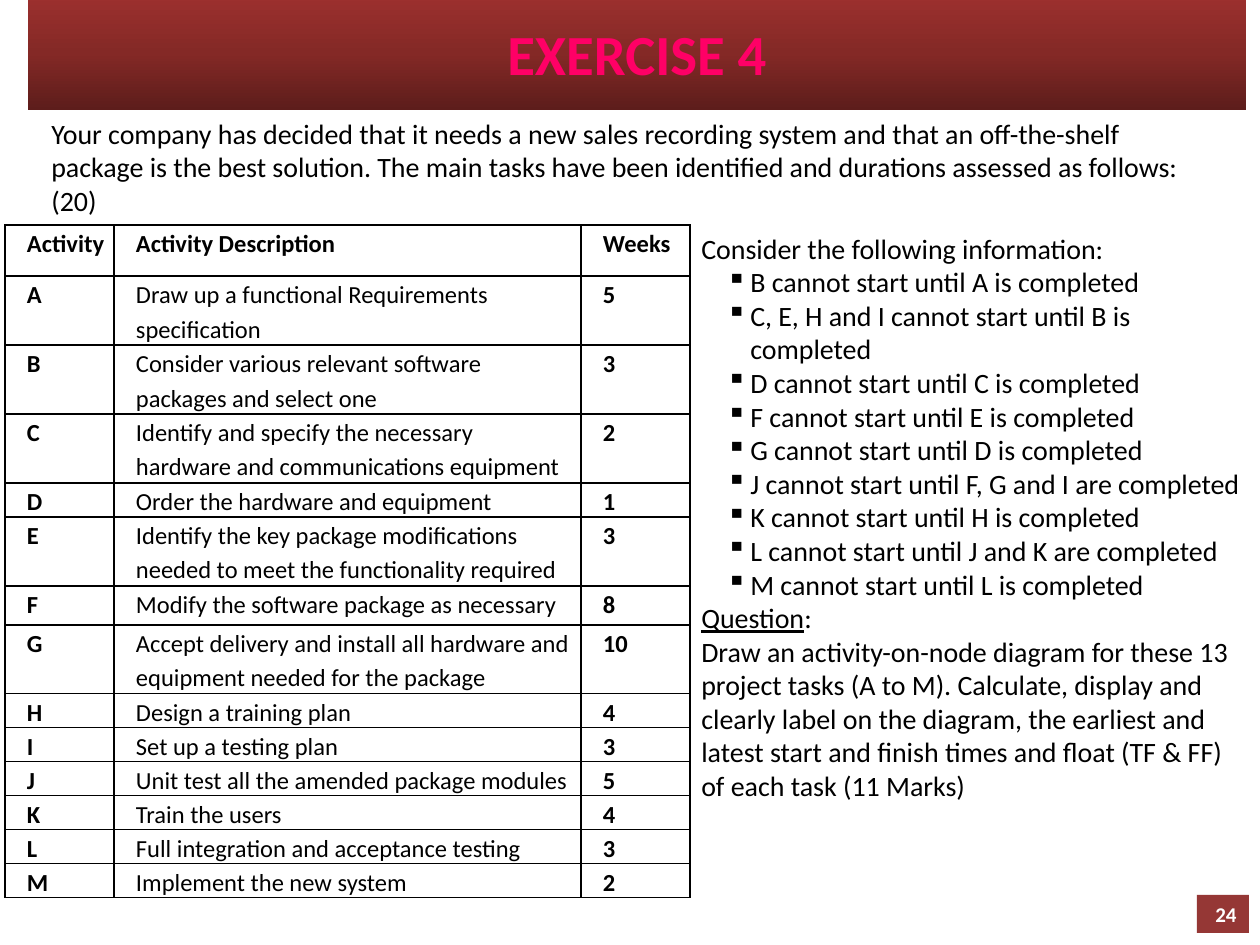
"""Build the Exercise 4 slide: task table, precedence rules and question."""
from copy import deepcopy
from typing import NamedTuple

from lxml import etree
from pptx import Presentation
from pptx.dml.color import RGBColor
from pptx.enum.shapes import MSO_SHAPE
from pptx.enum.text import MSO_ANCHOR, MSO_AUTO_SIZE, PP_ALIGN
from pptx.oxml.ns import qn
from pptx.util import Emu, Pt

RECTANGLE = MSO_SHAPE.RECTANGLE
MIDDLE = MSO_ANCHOR.MIDDLE
FIT_SHAPE = MSO_AUTO_SIZE.SHAPE_TO_FIT_TEXT
LEFT, CENTER, RIGHT, JUSTIFY = PP_ALIGN.LEFT, PP_ALIGN.CENTER, PP_ALIGN.RIGHT, PP_ALIGN.JUSTIFY
FONT = "Calibri"
BLACK = "000000"
WHITE = "FFFFFF"
PINK = "FF0066"
RED = "953735"
BANNER_STOPS = ((0, "5D1D1B"), (0.5, "842926"), (1, "9C302E"))
COLUMN_WIDTHS = (109, 467, 109)
BORDER_SIDES = ("a:lnL", "a:lnR", "a:lnT", "a:lnB")


class Area(NamedTuple):
    left: int
    top: int
    width: int
    height: int


class Task(NamedTuple):
    code: str
    description: str
    weeks: str
    height: int = 34


class Line(NamedTuple):
    text: str
    bullet: bool = False


HEADER = Task("Activity", "Activity Description ", "Weeks", 51)
TASKS = (
    Task("A", "Draw up a functional Requirements specification", "5", 69),
    Task("B", "Consider various relevant software packages and select one", "3", 69),
    Task("C", "Identify and specify the necessary hardware and communications equipment", "2", 69),
    Task("D", "Order the hardware and equipment", "1"),
    Task("E", "Identify the key package modifications needed to meet the functionality required", "3", 69),
    Task("F", "Modify the software package as necessary", "8", 39),
    Task("G", "Accept delivery and install all hardware and equipment needed for the package", "10", 69),
    Task("H", "Design a training plan", "4"),
    Task("I", "Set up a testing plan", "3"),
    Task("J", "Unit test all the amended package modules", "5"),
    Task("K", "Train the users", "4"),
    Task("L", "Full integration and acceptance testing", "3"),
    Task("M", "Implement the new system", "2"),
)
INTRO = (
    Line(
        "Your company has decided that it needs a new sales recording system and that an "
        "off-the-shelf package is the best solution. The main tasks have been identified "
        "and durations assessed as follows: (20)"
    ),
)
RULES = (
    "B cannot start until A is completed",
    "C, E, H and I cannot start until B is completed",
    "D cannot start until C is completed",
    "F cannot start until E is completed",
    "G cannot start until D is completed",
    "J cannot start until F, G and I are completed",
    "K cannot start until H is completed",
    "L cannot start until J and K are completed",
    "M cannot start until L is completed",
)
QUESTION = "Question"
DETAILS = (
    Line("Consider the following information:"),
    *(Line(rule, True) for rule in RULES),
    Line(QUESTION),
    Line(
        "Draw an activity-on-node diagram for these 13 project tasks (A to M). Calculate, "
        "display and clearly label on the diagram, the earliest and latest start and finish "
        "times and float (TF & FF) of each task (11 Marks)"
    ),
)


def px(length: int) -> Emu:
    return Emu(round(length * 914400 / 126))


def color(value: str) -> RGBColor:
    return RGBColor.from_string(value)


def place(area: Area) -> tuple:
    return tuple(px(length) for length in area)


def style(para, size: float, shade: str = BLACK, bold: bool = False) -> None:
    for span in para.runs:
        span.font.name = FONT
        span.font.size = Pt(size)
        span.font.bold = bold
        span.font.color.rgb = color(shade)


def indent(para, margin: int, first: int) -> None:
    properties = para._p.get_or_add_pPr()
    properties.set("marL", str(px(margin)))
    properties.set("indent", str(px(first)))


def add_block(page, area: Area, text: str, size: float, shade: str, align):
    block = page.shapes.add_shape(RECTANGLE, *place(area))
    block.shadow.inherit = False
    block.line.fill.background()
    frame = block.text_frame
    frame.text = text
    frame.vertical_anchor = MIDDLE
    frame.paragraphs[0].alignment = align
    style(frame.paragraphs[0], size, shade, True)
    return block


def fill_banner(banner) -> None:
    banner.fill.gradient()
    banner.fill.gradient_angle = 90
    stop_list = banner._element.spPr.find(qn("a:gradFill")).find(qn("a:gsLst"))
    stop_list.insert(1, deepcopy(stop_list[0]))
    for stop, (position, shade) in zip(banner.fill.gradient_stops, BANNER_STOPS):
        stop.position = position
        stop.color.rgb = color(shade)


def add_text(page, area: Area, lines: tuple[Line, ...]):
    frame = page.shapes.add_textbox(*place(area)).text_frame
    frame.word_wrap = True
    frame.auto_size = FIT_SHAPE
    for index, line in enumerate(lines):
        para = frame.add_paragraph() if index else frame.paragraphs[0]
        para.text = line.text
        if line.bullet:
            para.level = 1
            indent(para, 49, -24)
            etree.SubElement(para._p.get_or_add_pPr(), qn("a:buChar"), char="▪")
        if line.text == QUESTION:
            para.runs[0].font.underline = True
            para.add_run().text = ":"
        style(para, 16)


def add_borders(cell) -> None:
    properties = cell._tc.get_or_add_tcPr()
    for position, side in enumerate(BORDER_SIDES):
        border = etree.Element(qn(side), w=str(Pt(1)))
        fill = etree.SubElement(border, qn("a:solidFill"))
        etree.SubElement(fill, qn("a:srgbClr"), val=BLACK)
        properties.insert(position, border)


def fill_cell(cell, text: str, bold: bool, justified: bool) -> None:
    cell.fill.background()
    cell.margin_left = cell.margin_right = px(9)
    cell.margin_top = cell.margin_bottom = 0
    cell.text = text
    para = cell.text_frame.paragraphs[0]
    para.alignment = JUSTIFY if justified else LEFT
    para.line_spacing = 1.15
    indent(para, *((63, -50) if justified else (13, 0)))
    style(para, 14, bold=bold)
    add_borders(cell)


def add_tasks(page, left: int, top: int) -> None:
    rows = (HEADER, *TASKS)
    area = Area(left, top, sum(COLUMN_WIDTHS), sum(row.height for row in rows))
    table = page.shapes.add_table(len(rows), len(COLUMN_WIDTHS), *place(area)).table
    for column, width in zip(table.columns, COLUMN_WIDTHS):
        column.width = px(width)
    for row_index, task in enumerate(rows):
        table.rows[row_index].height = px(task.height)
        for column_index, text in enumerate((task.code, task.description, task.weeks)):
            strong = task is HEADER or column_index != 1
            fill_cell(table.cell(row_index, column_index), text, strong, strong)


def main() -> None:
    deck = Presentation()
    deck.slide_width, deck.slide_height = px(1260), px(945)
    page = deck.slides.add_slide(deck.slide_layouts[6])
    add_text(page, Area(39, 110, 1171, 115), INTRO)
    fill_banner(add_block(page, Area(28, -4, 1218, 114), "EXERCISE 4", 32.4, PINK, CENTER))
    number = add_block(page, Area(1197, 895, 52, 38), "24", 12, WHITE, RIGHT)
    number.fill.solid()
    number.fill.fore_color.rgb = color(RED)
    add_tasks(page, 5, 225)
    add_text(page, Area(689, 225, 566, 687), DETAILS)
    deck.save("out.pptx")


if __name__ == "__main__":
    main()
